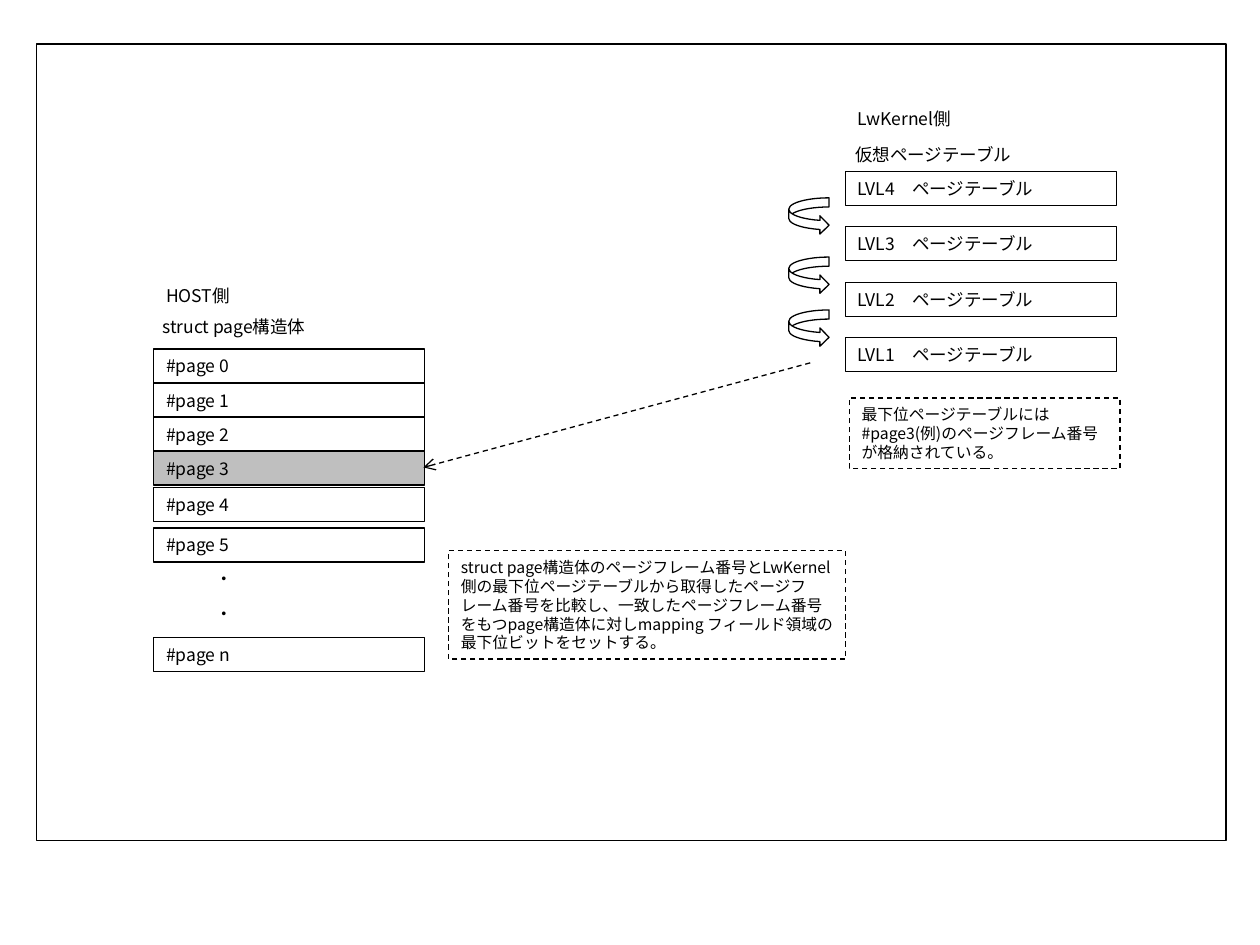
"""Build the slide that maps page tables to page structures."""
from lxml import etree
from pptx import Presentation, util as u
from pptx.dml.color import RGBColor
from pptx.enum import dml, shapes, text
from pptx.oxml.ns import qn

FONT = "Noto Sans CJK JP"
COLORS = {"ink": "000000", "match": "BFBFBF"}
ROW_W, ROW_H = 2.15, 0.27
PAGE_X, TABLE_X = 1.22, 6.71
PAGE_Y, TABLE_Y, TABLE_PITCH = 2.77, 1.36, 0.44
DOT_INSET = 0.49

FRAME = (0.29, 0.35, 9.44, 6.32)
LABELS = [
    ("struct page構造体", 1.19, 2.46, 2.68),
    ("HOST側", PAGE_X, 2.21, 2.68),
    ("仮想ページテーブル", 6.69, 1.09, ROW_W),
    ("LwKernel側", TABLE_X, 0.81, 2.68),
]
DOT_TOPS = [4.46, 4.74]
PAGES = [(f"#page {n}", PAGE_Y + n * ROW_H) for n in range(4)]
PAGES += [("#page 4", 3.87), ("#page 5", 4.19), ("#page n", 5.06)]
MATCHED = "#page 3"
LEVELS = [4, 3, 2, 1]
STEP_TOPS = [1.57, 2.04, 2.46]
NOTES = [
    (["最下位ページテーブルには", "#page3(例)のページフレーム番号が格納されている。"],
     (6.74, 3.16, ROW_W, 0.56)),
    (["struct page構造体のページフレーム番号とLwKernel側の最下位ページテーブルから取得した"
      "ページフレーム番号を比較し、一致したページフレーム番号をもつpage構造体に対し"
      "mapping フィールド領域の最下位ビットをセットする。"],
     (3.56, 4.37, 3.15, 0.86)),
]
LOOKUP = (6.43, 2.88, 3.36, 3.71)


def inches(values):
    return [u.Inches(round(value, 2)) for value in values]


def color(name):
    return RGBColor.from_string(COLORS[name])


def write(holder, lines, size=10, inset=0.1):
    frame = holder.text_frame
    layout = {"word_wrap": True, "margin_left": u.Inches(inset)}
    for key, value in layout.items():
        setattr(frame, key, value)
    for index, line in enumerate(lines):
        paragraph = frame.paragraphs[0] if index == 0 else frame.add_paragraph()
        paragraph.alignment = text.PP_ALIGN.LEFT
        run = paragraph.add_run()
        run.text = line
        for key, value in {"name": FONT, "size": u.Pt(size)}.items():
            setattr(run.font, key, value)
        run.font.color.rgb = color("ink")
        etree.SubElement(run.font._element, qn("a:ea"), typeface=FONT)


def stroke(line, width=0.75, dashed=False):
    line.color.rgb = color("ink")
    line.width = u.Pt(width)
    if dashed:
        line.dash_style = dml.MSO_LINE.DASH


def outline(box, kind=shapes.MSO_SHAPE.RECTANGLE, fill=None, **line_format):
    part = slide.shapes.add_shape(kind, *inches(box))
    part.shadow.inherit = False
    if fill:
        part.fill.solid()
        part.fill.fore_color.rgb = color(fill)
    else:
        part.fill.background()
    stroke(part.line, **line_format)
    return part


def label(caption, left, top, width, inset=0.1):
    holder = slide.shapes.add_textbox(*inches((left, top, width, ROW_H)))
    write(holder, [caption], inset=inset)


deck = Presentation()
deck.slide_width, deck.slide_height = inches((10, 7.5))
slide = deck.slides.add_slide(deck.slide_layouts[6])

outline(FRAME, width=1)
for entry in LABELS:
    label(*entry)
for top in DOT_TOPS:
    label("・", PAGE_X, top, ROW_W, DOT_INSET)

for caption, top in PAGES:
    page = outline((PAGE_X, top, ROW_W, ROW_H),
                   fill="match" if caption == MATCHED else None)
    write(page, [caption])

for index, level in enumerate(LEVELS):
    table = outline((TABLE_X, TABLE_Y + index * TABLE_PITCH, ROW_W, ROW_H))
    write(table, [f"LVL{level}\u3000ページテーブル"])

for top in STEP_TOPS:
    outline((6.26, top, 0.32, 0.29), shapes.MSO_SHAPE.CURVED_RIGHT_ARROW)

for lines, box in NOTES:
    write(outline(box, dashed=True), lines, size=9)

lookup = slide.shapes.add_connector(shapes.MSO_CONNECTOR.STRAIGHT, *inches(LOOKUP))
stroke(lookup.line, dashed=True)
etree.SubElement(lookup.line._get_or_add_ln(), qn("a:tailEnd"), type="arrow")
etree.SubElement(lookup._element.spPr, qn("a:effectLst"))

deck.save("out.pptx")
